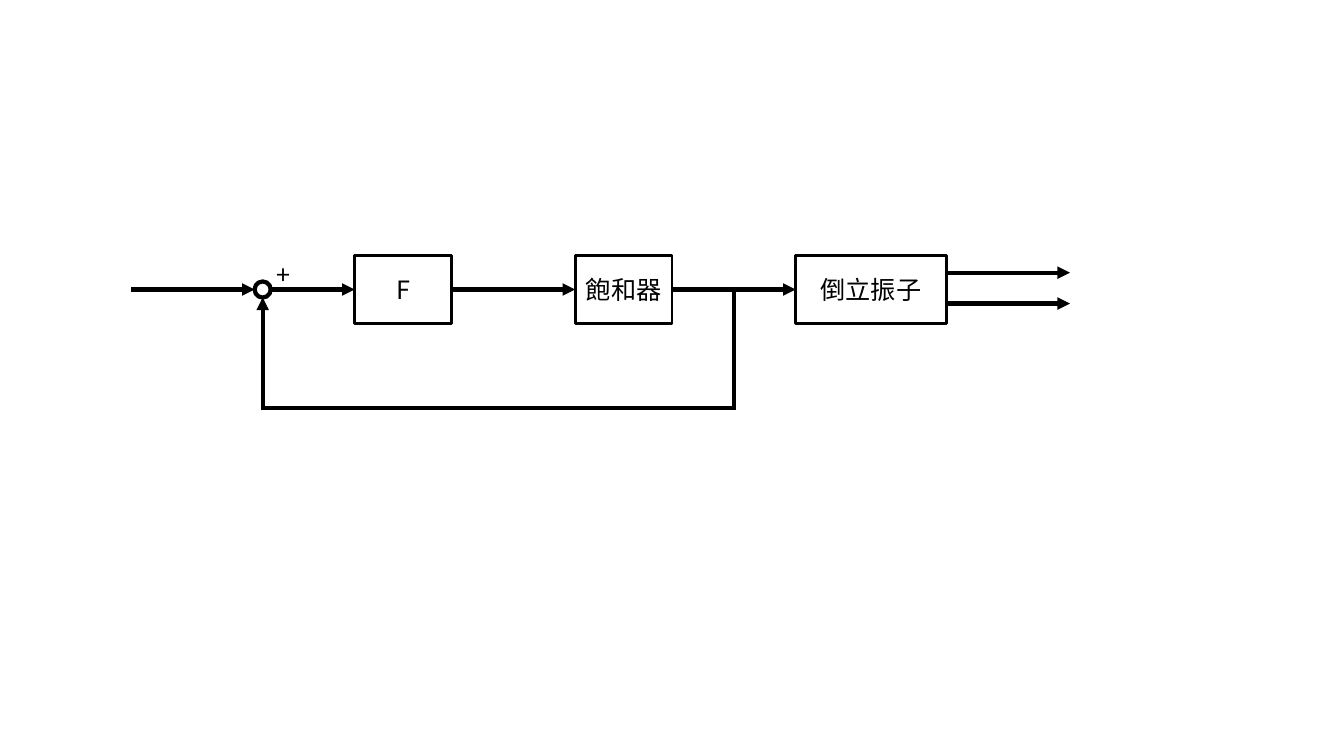
from lxml import etree
from pptx import Presentation
from pptx.dml.color import RGBColor
from pptx.enum.shapes import MSO_CONNECTOR as CONN, MSO_SHAPE as SHAPE
from pptx.enum.text import MSO_ANCHOR as ANCHOR, PP_ALIGN as ALIGN
from pptx.oxml.ns import qn
from pptx.util import Pt

FONT = "Noto Sans CJK JP"
BLACK, WHITE = "000000", "FFFFFF"


def color(value):
    return RGBColor.from_string(value)


def add_run(p, text):
    r = p.add_run()
    r.text = text
    r.font.size = Pt(18)
    r.font.name = FONT
    r.font.color.rgb = color(BLACK)
    etree.SubElement(r.font._element, qn("a:ea"), typeface=FONT)


def add_outline(s, kind, x, y, w, h, weight):
    sp = s.shapes.add_shape(kind, Pt(x), Pt(y), Pt(w), Pt(h))
    sp.shadow.inherit = False
    sp.fill.solid()
    sp.fill.fore_color.rgb = color(WHITE)
    sp.line.color.rgb = color(BLACK)
    sp.line.width = Pt(weight)
    return sp


def add_block(s, text, x, y, w, h):
    sp = add_outline(s, SHAPE.RECTANGLE, x, y, w, h, 2)
    tf = sp.text_frame
    tf.margin_left = tf.margin_right = 0
    tf.word_wrap = True
    tf.vertical_anchor = ANCHOR.MIDDLE
    p = tf.paragraphs[0]
    p.alignment = ALIGN.CENTER
    add_run(p, text)


def add_wire(s, x1, y1, x2, y2, arrow=True):
    wire = s.shapes.add_connector(CONN.STRAIGHT, Pt(x1), Pt(y1), Pt(x2), Pt(y2))
    wire.line.color.rgb = color(BLACK)
    wire.line.width = Pt(3)
    if arrow:
        etree.SubElement(wire.line._get_or_add_ln(), qn("a:tailEnd"), type="triangle")
    etree.SubElement(wire._element.spPr, qn("a:effectLst"))


def add_sign(s, text, x, y, w, h):
    tf = s.shapes.add_textbox(Pt(x), Pt(y), Pt(w), Pt(h)).text_frame
    tf.margin_left = tf.margin_right = tf.margin_top = tf.margin_bottom = 0
    tf.word_wrap = False
    add_run(tf.paragraphs[0], text)


def control_loop(s, x, y, w, h):
    """Block diagram: sum, gain, saturation and plant with feedback."""
    block_w, plant_w, block_h = 69.1, 107.5, 48.2
    gap, node = 88.4, 11.5
    axis = y + block_h / 2

    # Columns, measured back from the right end of the outputs
    plant_x = x + w - gap - plant_w
    sat_x = plant_x - gap - block_w
    gain_x = sat_x - gap - block_w
    sum_x = x + gap
    sum_mid = sum_x + node / 2
    branch_x = sat_x + block_w + gap / 2

    # Blocks
    for text, left, width in [("F", gain_x, block_w), ("飽和器", sat_x, block_w),
                              ("倒立振子", plant_x, plant_w)]:
        add_block(s, text, left, y, width, block_h)

    # Forward path
    for start, end in [(x, sum_x), (sum_x + node, gain_x),
                       (gain_x + block_w, sat_x), (sat_x + block_w, plant_x)]:
        add_wire(s, start, axis, end, axis)

    # Plant outputs
    for offset in (-11, 11):
        add_wire(s, x + w - gap, axis + offset - 1, x + w, axis + offset - 1)

    # Summing point
    add_outline(s, SHAPE.OVAL, sum_x, axis - node / 2, node, node, 3)
    add_sign(s, "+", sum_x + node + 4.2, y + 2.5, 13, 44)

    # Feedback path
    bottom = y + h
    add_wire(s, branch_x, axis, branch_x, bottom + 1.5, arrow=False)
    add_wire(s, sum_mid, bottom, branch_x, bottom, arrow=False)
    add_wire(s, sum_mid, bottom + 1.5, sum_mid, axis + node / 2)


prs = Presentation()
prs.slide_width, prs.slide_height = Pt(960), Pt(540)
s = prs.slides.add_slide(prs.slide_layouts[6])
control_loop(s, 93.5, 182.7, 670.8, 109)
prs.save("out.pptx")
